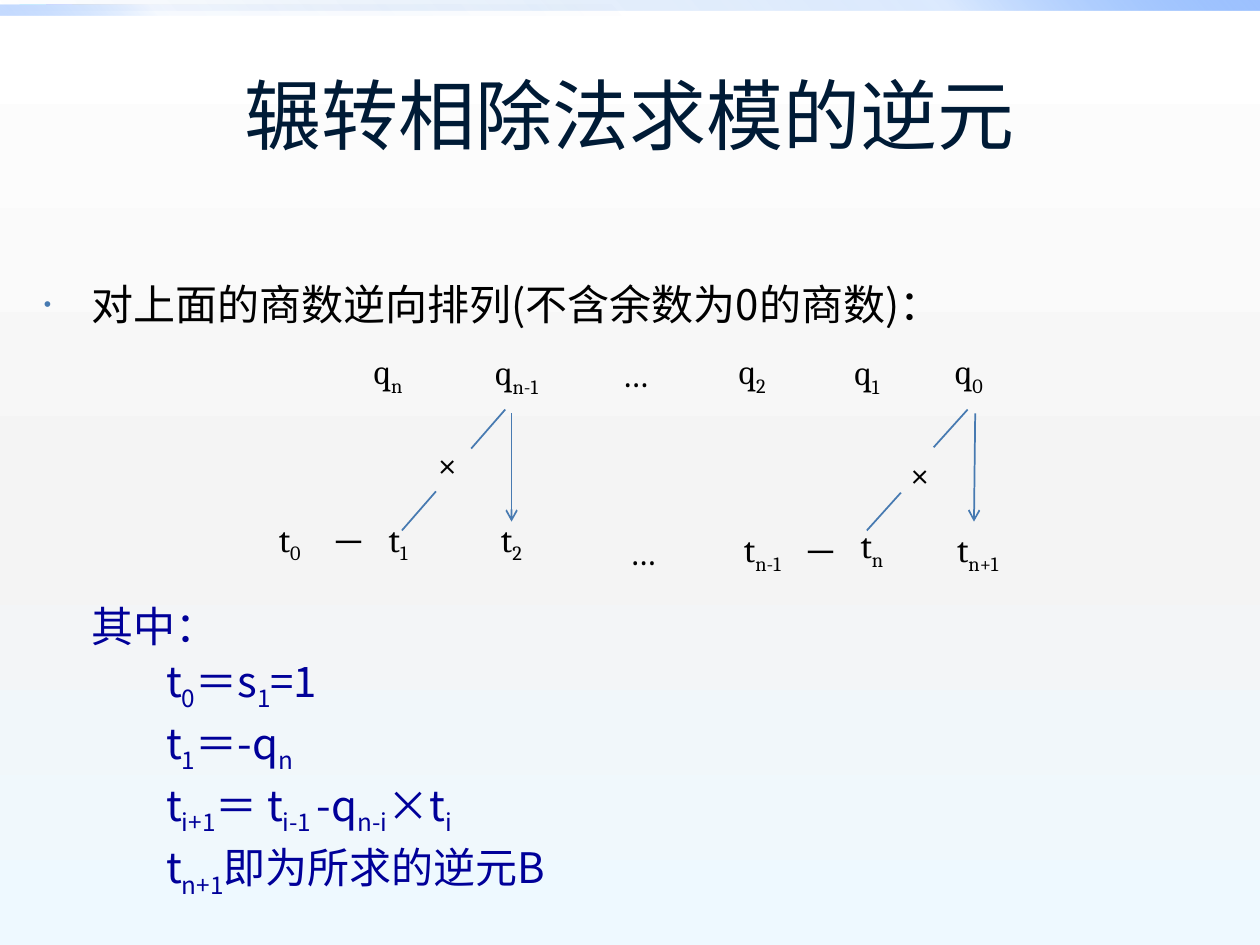
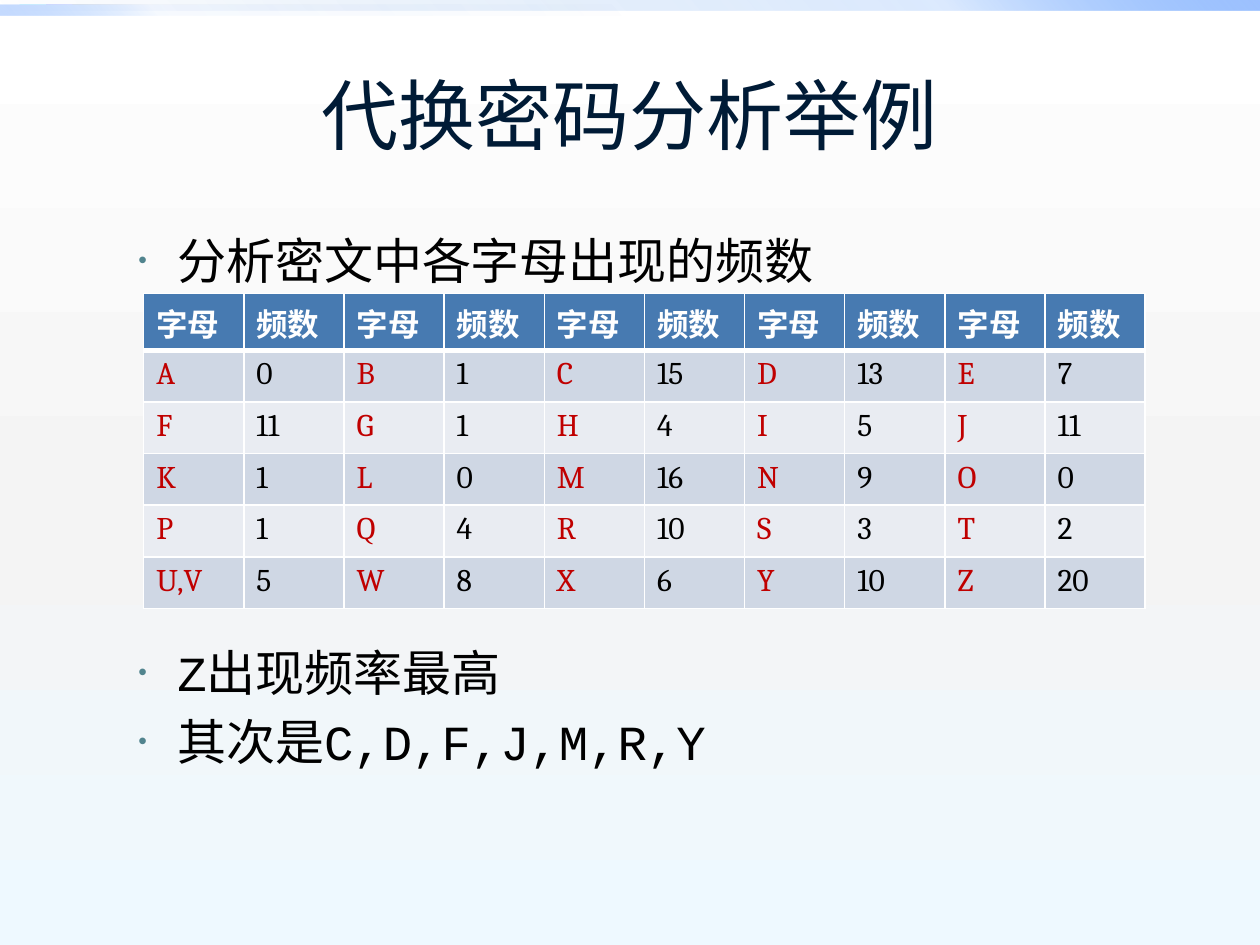
from dataclasses import dataclass

from lxml.etree import SubElement
from pptx import Presentation
from pptx.dml.color import RGBColor
from pptx.enum.shapes import MSO_CONNECTOR, MSO_SHAPE
from pptx.enum.text import MSO_ANCHOR, PP_ALIGN
from pptx.oxml.ns import qn
from pptx.util import Inches, Pt

WHITE = RGBColor(0xFF, 0xFF, 0xFF)
BLACK = RGBColor(0x00, 0x00, 0x00)
NAVY = RGBColor(0x00, 0x1B, 0x36)
BLUE = RGBColor(0x47, 0x7A, 0xB1)
TEAL = RGBColor(0x51, 0x84, 0x8E)
FORMULA = RGBColor(0x00, 0x00, 0x99)
RED = RGBColor(0xC0, 0x00, 0x00)
ROW_DARK = RGBColor(0xCF, 0xD7, 0xE4)
ROW_LIGHT = RGBColor(0xE9, 0xEC, 0xF2)
GREY = RGBColor(0xF4, 0xF4, 0xF4)
ICE = RGBColor(0xEE, 0xF9, 0xFF)
BAND_DEEP = RGBColor(0x00, 0x58, 0xB7)
BAND_MID = RGBColor(0x4F, 0x95, 0xFF)
BAND_PALE = RGBColor(0x9E, 0xC2, 0xFF)

CJK = "Noto Sans CJK SC"
TITLE = {"name": "Calibri", "size": Pt(44)}
BODY = {"name": CJK, "size": Pt(24)}
POINTS = {"name": "Courier New", "size": Pt(28)}
LABEL = {"name": "Cambria", "size": Pt(20)}
CELL = {"name": "Cambria", "size": Pt(18), "bold": False}
HEAD = CELL | {"bold": True}

Stops = list[tuple[int, RGBColor, int]]


@dataclass
class Band:
    """A translucent gradient strip at the top of every slide."""
    top: float
    width: float
    angle: int
    stops: Stops


@dataclass
class Label:
    """A diagram term; a bar in its text starts or ends a subscript."""
    text: str
    left: float
    top: float


@dataclass
class Stroke:
    """A diagram line, with or without an arrowhead at its end."""
    x1: float
    y1: float
    x2: float
    y2: float
    arrow: bool = False


@dataclass
class Para:
    """A paragraph with its indents in inches and an optional bullet colour."""
    text: str
    left: float = 0
    hanging: float = 0
    bullet: RGBColor | None = None


BACKGROUND: Stops = [(0, WHITE, 100), (55, GREY, 100), (100, ICE, 100)]
BANDS = [
    Band(0, 10, 315, [(0, BAND_DEEP, 0), (75, BAND_MID, 20), (100, BAND_PALE, 100)]),
    Band(0.04, 5, 135, [(0, BAND_DEEP, 0), (75, BAND_MID, 5), (100, BAND_PALE, 60)]),
]
LABELS = [
    Label("q|n", 2.73, 2.73), Label("q|n-1", 3.75, 2.74), Label("…", 4.69, 2.73),
    Label("q|2", 5.62, 2.73), Label("q|1", 6.53, 2.74), Label("q|0", 7.34, 2.73),
    Label("×", 3.2, 3.44), Label("×", 6.95, 3.52),
    Label("t|0", 1.95, 4.06), Label("－", 2.42, 4.06), Label("t|1", 2.81, 4.06),
    Label("t|2", 3.71, 4.06), Label("…", 4.75, 4.14), Label("t|n-1", 5.7, 4.14),
    Label("－", 6.17, 4.14), Label("t|n", 6.57, 4.11), Label("t|n+1", 7.41, 4.14),
]
STROKES = [
    Stroke(4.06, 3.28, 4.06, 4.14, True), Stroke(7.74, 3.28, 7.73, 4.14, True),
    Stroke(4.01, 3.25, 3.74, 3.56), Stroke(3.46, 3.9, 3.19, 4.21),
    Stroke(7.68, 3.25, 7.41, 3.55), Stroke(7.15, 3.91, 6.88, 4.21),
]
FORMULAS = [
    "t|0|＝s|1|=1",
    "t|1|＝-q|n",
    "t|i+1|＝ t|i-1 |-q|n-i|×t|i",
    "t|n+1|即为所求的逆元B",
]
FREQUENCIES = [
    [("A", 0), ("B", 1), ("C", 15), ("D", 13), ("E", 7)],
    [("F", 11), ("G", 1), ("H", 4), ("I", 5), ("J", 11)],
    [("K", 1), ("L", 0), ("M", 16), ("N", 9), ("O", 0)],
    [("P", 1), ("Q", 4), ("R", 10), ("S", 3), ("T", 2)],
    [("U,V", 5), ("W", 8), ("X", 6), ("Y", 10), ("Z", 20)],
]


def set_gradient(root, stops: Stops, angle: int) -> None:
    """Replace the first solid fill under root with a linear gradient."""
    solid = next(root.iter(qn("a:solidFill")))
    grad = SubElement(solid.getparent(), qn("a:gradFill"), rotWithShape="1")
    solid.getparent().replace(solid, grad)
    gs_lst = SubElement(grad, qn("a:gsLst"))
    for pos, color, alpha in stops:
        gs = SubElement(gs_lst, qn("a:gs"), pos=str(pos * 1000))
        clr = SubElement(gs, qn("a:srgbClr"), val=str(color))
        if alpha < 100:
            SubElement(clr, qn("a:alpha"), val=str(alpha * 1000))
    SubElement(grad, qn("a:lin"), ang=str(angle * 60000), scaled="0")


def add_runs(p, text: str, fmt: dict, color: RGBColor) -> None:
    """Write text into p, lowering every second bar-separated part."""
    for i, part in enumerate(text.split("|")):
        r = p.add_run()
        r.text = part
        for key, value in fmt.items():
            setattr(r.font, key, value)
        r.font.color.rgb = color
        rpr = r.font._element
        SubElement(rpr, qn("a:ea"), typeface=CJK)
        if i % 2:
            rpr.set("baseline", "-25000")


def add_box(s, left: float, top: float, width: float, height: float):
    """Add a wrapping text box and return its text frame."""
    tf = s.shapes.add_textbox(
        Inches(left), Inches(top), Inches(width), Inches(height)).text_frame
    tf.word_wrap = True
    return tf


def add_centred(s, text: str, box: tuple, fmt: dict, color: RGBColor, margin: float) -> None:
    """Add one line of text centred both ways in its box."""
    tf = add_box(s, *box)
    tf.vertical_anchor = MSO_ANCHOR.MIDDLE
    for side in ("left", "top", "right", "bottom"):
        setattr(tf, f"margin_{side}", Inches(margin))
    p = tf.paragraphs[0]
    p.alignment = PP_ALIGN.CENTER
    add_runs(p, text, fmt, color)


def add_paragraphs(s, box: tuple, paras: list[Para], fmt: dict,
                   color: RGBColor, pitch: float) -> None:
    """Add a text box of paragraphs at a fixed line pitch in points."""
    tf = add_box(s, *box)
    for i, para in enumerate(paras):
        p = tf.add_paragraph() if i else tf.paragraphs[0]
        p.line_spacing = Pt(pitch)
        ppr = p._p.get_or_add_pPr()
        ppr.set("marL", str(Inches(para.left)))
        ppr.set("indent", str(-Inches(para.hanging)))
        if para.bullet is not None:
            clr = SubElement(ppr, qn("a:buClr"))
            SubElement(clr, qn("a:srgbClr"), val=str(para.bullet))
            SubElement(ppr, qn("a:buSzPct"), val="50000")
            SubElement(ppr, qn("a:buFont"), typeface="Arial")
            SubElement(ppr, qn("a:buChar"), char="•")
        add_runs(p, para.text, fmt, color)


def add_stroke(s, stroke: Stroke) -> None:
    """Draw one diagram line."""
    line = s.shapes.add_connector(
        MSO_CONNECTOR.STRAIGHT, Inches(stroke.x1), Inches(stroke.y1),
        Inches(stroke.x2), Inches(stroke.y2))
    line.line.color.rgb = BLUE
    line.line.width = Pt(1)
    if stroke.arrow:
        SubElement(line.line._get_or_add_ln(), qn("a:tailEnd"), type="arrow")
    SubElement(line._element.spPr, qn("a:effectLst"))


def fill_cell(cell, text: str, fmt: dict, color: RGBColor,
              fill: RGBColor, borders: dict[str, float]) -> None:
    """Write a table cell with white borders and a plain fill."""
    tcpr = cell._tc.get_or_add_tcPr()
    for side, width in borders.items():
        ln = SubElement(tcpr, qn(f"a:ln{side}"), w=str(Pt(width)))
        solid = SubElement(ln, qn("a:solidFill"))
        SubElement(solid, qn("a:srgbClr"), val=str(WHITE))
    cell.fill.solid()
    cell.fill.fore_color.rgb = fill
    add_runs(cell.text_frame.paragraphs[0], text, fmt, color)


def add_frequency_table(s) -> None:
    """Add the letter frequency table."""
    columns = 2 * len(FREQUENCIES[0])
    table = s.shapes.add_table(
        len(FREQUENCIES) + 1, columns, Inches(1.14), Inches(2.33),
        Inches(7.95), Inches(2.5)).table
    for i, row in enumerate(table.rows):
        row.height = Inches(0.41 if i else 0.45)
    thin = dict.fromkeys("LRTB", 1)
    for c in range(columns):
        fill_cell(table.cell(0, c), ("字母", "频数")[c % 2], HEAD, WHITE, BLUE,
                  thin | {"B": 3})
    for i, pairs in enumerate(FREQUENCIES):
        values = [value for pair in pairs for value in pair]
        for c, value in enumerate(values):
            borders = thin if i else thin | {"T": 3}
            fill_cell(table.cell(i + 1, c), str(value), CELL, BLACK if c % 2 else RED,
                      ROW_LIGHT if i % 2 else ROW_DARK, borders)


def add_slide(prs, title: str):
    """Add a slide with the shared background, bands and title."""
    s = prs.slides.add_slide(prs.slide_layouts[6])
    s.background.fill.solid()
    s.background.fill.fore_color.rgb = WHITE
    set_gradient(s._element, BACKGROUND, 90)
    for band in BANDS:
        sp = s.shapes.add_shape(MSO_SHAPE.RECTANGLE, 0, Inches(band.top),
                                Inches(band.width), Inches(0.08))
        sp.shadow.inherit = False
        sp.fill.solid()
        sp.fill.fore_color.rgb = BAND_PALE
        sp.line.fill.background()
        set_gradient(sp._element.spPr, band.stops, band.angle)
    add_centred(s, title, (0.5, 0.28, 9, 1.25), TITLE, NAVY, 0.05)
    return s


def build_inverse(prs) -> None:
    """Build the slide on the modular inverse."""
    s = add_slide(prs, "辗转相除法求模的逆元")
    add_paragraphs(s, (0.25, 2.07, 9.4, 0.6),
                   [Para("对上面的商数逆向排列(不含余数为0的商数)：", 0.38, 0.38, BLUE)],
                   BODY, BLACK, 35.5)
    add_paragraphs(s, (0.25, 4.62, 9.4, 2.6),
                   [Para("其中：", 0.38)] + [Para(text, 0.97) for text in FORMULAS],
                   BODY, FORMULA, 35.5)
    for label in LABELS:
        add_centred(s, label.text, (label.left, label.top, 0.7, 0.47), LABEL, BLACK, 0)
    for stroke in STROKES:
        add_stroke(s, stroke)


def build_frequencies(prs) -> None:
    """Build the slide on letter frequencies."""
    s = add_slide(prs, "代换密码分析举例")
    for top, height, lines in (
        (1.7, 0.6, ["分析密文中各字母出现的频数"]),
        (4.97, 1.2, ["Z出现频率最高", "其次是C,D,F,J,M,R,Y"]),
    ):
        add_paragraphs(s, (0.5, top, 9, height),
                       [Para(text, 0.81, 0.31, TEAL) for text in lines],
                       POINTS, BLACK, 39.5)
    add_frequency_table(s)


def main() -> None:
    """Build and save the presentation."""
    prs = Presentation()
    prs.slide_width, prs.slide_height = Inches(10), Inches(7.5)
    build_inverse(prs)
    build_frequencies(prs)
    prs.save("out.pptx")


if __name__ == "__main__":
    main()
